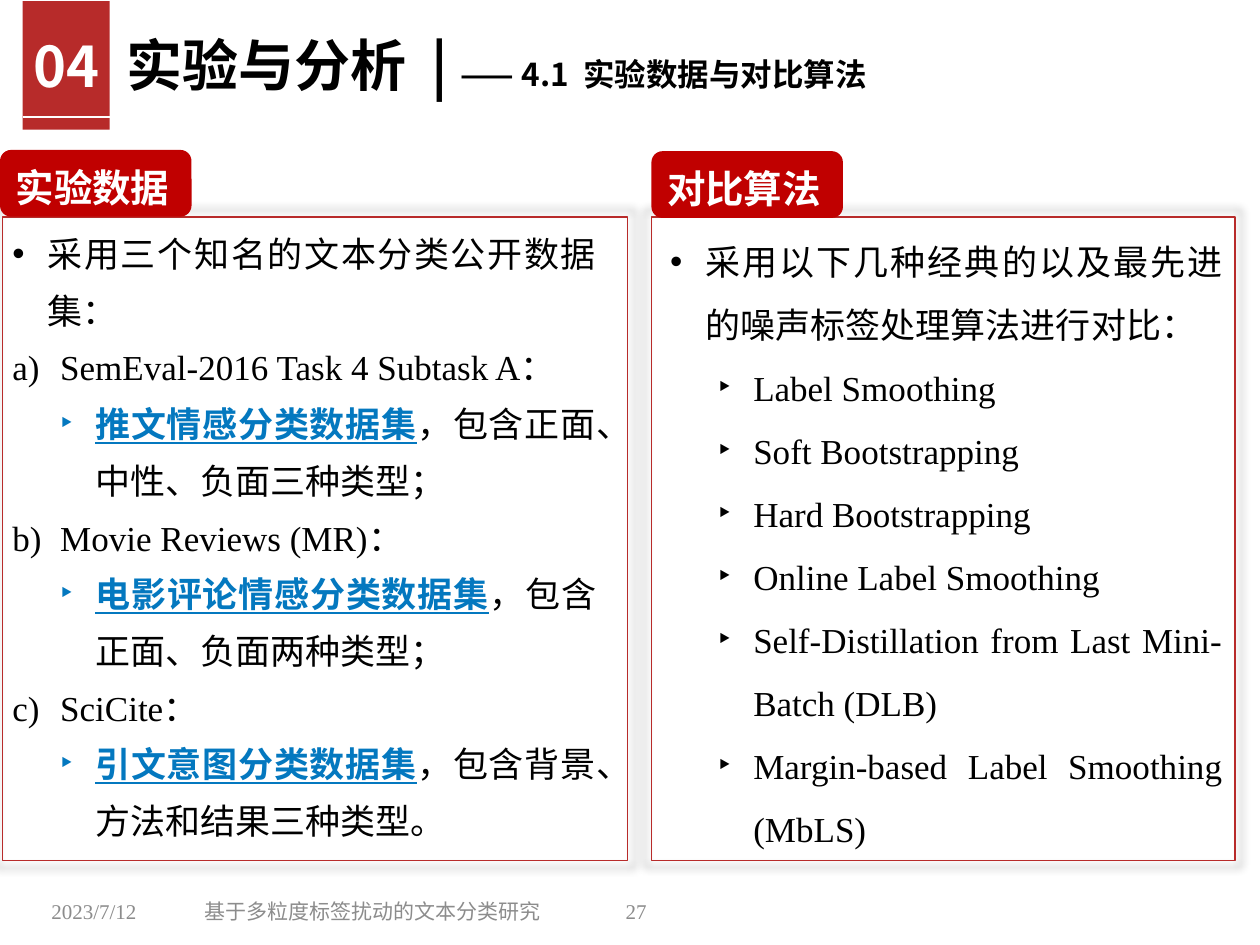
from pptx import Presentation, oxml, util as u
from pptx.dml.color import RGBColor
from pptx.enum import shapes, text
from pptx.oxml.ns import qn

Inches = u.Inches
THEME = {
    "sans": "Noto Sans CJK SC", "serif": "Times New Roman",
    "black": "000000", "white": "FFFFFF", "grey": "8C8C8C", "blue": "0478BF",
    "banner": "B4201F", "frame": "B82B2A", "tab": "C00000",
    "title": 32, "subtitle": 18, "heading": 22, "body": 20, "footer": 12,
}
NS = 'xmlns:a="http://schemas.openxmlformats.org/drawingml/2006/main"'
ALIGN = text.PP_ALIGN


def style(size, color, face="sans", **extra):
    return {"size": u.Pt(THEME[size]), "color": color, "name": THEME[face], **extra}


def add_spans(para, spans, **para_format):
    """Set paragraph attributes, then append (wording, format) spans."""
    for name, value in para_format.items():
        setattr(para, name, value)
    for wording, values in spans:
        span = para.add_run()
        span.text = wording
        for name, value in values.items():
            if name == "color":
                span.font.color.rgb = RGBColor.from_string(THEME[value])
            elif name == "spc":
                span._r.get_or_add_rPr().set("spc", str(value))
            else:
                setattr(span.font, name, value)
        east_asian = oxml.parse_xml(f'<a:ea {NS} typeface="{THEME["sans"]}"/>')
        span._r.rPr.find(qn("a:latin")).addnext(east_asian)


deck = Presentation()
deck.slide_width, deck.slide_height = Inches(10), Inches(7.5)
page = deck.slides.add_slide(deck.slide_layouts[5])

# Banner behind the section number
banner = page.shapes.add_shape(shapes.MSO_SHAPE.RECTANGLE, Inches(0.18), Inches(0.01),
                               Inches(0.69), Inches(1.02))
banner.shadow.inherit = False
banner.fill.solid()
banner.fill.fore_color.rgb = RGBColor.from_string(THEME["banner"])
banner.line.fill.background()
banner_color = banner._element.spPr.find(qn("a:solidFill"))[0]
banner_color.append(oxml.parse_xml(f'<a:alpha {NS} val="95000"/>'))
rule = page.shapes.add_connector(shapes.MSO_CONNECTOR.STRAIGHT, Inches(0.18), Inches(0.93),
                                 Inches(0.87), Inches(0.93))
rule.line.color.rgb = RGBColor.from_string(THEME["white"])
rule.line.width = u.Pt(1.5)
rule._element.spPr.append(oxml.parse_xml(f"<a:effectLst {NS}/>"))

# Title
title = page.shapes.title
title.left, title.top, title.width, title.height = map(Inches, (0.9, 0.19, 9.1, 0.64))
title.text_frame.vertical_anchor = text.MSO_ANCHOR.TOP
title.text_frame.auto_size = text.MSO_AUTO_SIZE.NONE
large = style("title", "black", bold=True)
small = style("subtitle", "black", bold=True)
add_spans(title.text_frame.paragraphs[0], [
    ("实验与分析", large), (" ", {**large, "spc": 700}), ("| ", large),
    ("—— 4.1", small), (" ", {**small, "spc": 400}), ("实验数据与对比算法", small),
], alignment=ALIGN.LEFT)

# Two framed panels with bulleted text
plain = style("body", "black", "serif")
key = style("body", "blue", bold=True, underline=True)
BULLETS = {  # kind: (level, indent, XML)
    "dot": (0, 0.28, ['<a:buFont {} typeface="Arial"/>', '<a:buChar {} char="•"/>']),
    "letter": (0, 0.38, ['<a:buFont {} typeface="+mj-lt"/>',
                         '<a:buAutoNum {} type="alphaLcParenR"/>']),
    "arrow": (1, 0.28, ['<a:buFont {} typeface="Arial"/>', '<a:buChar {} char="‣"/>']),
}
datasets = [("dot", [("采用三个知名的文本分类公开数据集：", plain)])]
for name, kind, detail in [
    ("SemEval-2016 Task 4 Subtask A：", "推文情感分类数据集", "，包含正面、中性、负面三种类型；"),
    ("Movie Reviews (MR)：", "电影评论情感分类数据集", "，包含正面、负面两种类型；"),
    ("SciCite：", "引文意图分类数据集", "，包含背景、方法和结果三种类型。"),
]:
    datasets += [("letter", [(name, plain)]), ("arrow", [(kind, key), (detail, plain)])]
algorithms = [("dot", [("采用以下几种经典的以及最先进的噪声标签处理算法进行对比：", plain)])]
algorithms += [("arrow", [(name, plain)]) for name in (
    "Label Smoothing", "Soft Bootstrapping", "Hard Bootstrapping", "Online Label Smoothing",
    "Self-Distillation from Last Mini-Batch (DLB)", "Margin-based Label Smoothing (MbLS)")]

panels = [  # heading, tab position, text area, frame left and width, spacing, items
    ("实验数据", (0, 1.19), (0, 1.68, 4.83, 5.05), (0.02, 4.96), 1.35, datasets),
    ("对比算法", (5.17, 1.2), (5.22, 1.69, 4.58, 5.09), (5.17, 4.63), 1.5, algorithms),
]
for heading, tab_at, area, (left, width), spacing, items in panels:
    box = page.shapes.add_textbox(*map(Inches, area))
    box.text_frame.word_wrap = True
    for index, (bullet, spans) in enumerate(items):
        frame_text = box.text_frame
        para = frame_text.add_paragraph() if index else frame_text.paragraphs[0]
        level, hanging, marks = BULLETS[bullet]
        add_spans(para, spans, alignment=ALIGN.JUSTIFY, level=level, line_spacing=spacing)
        props = para._p.get_or_add_pPr()
        props.set("marL", str(Inches(hanging + 0.38 * level)))
        props.set("indent", str(-Inches(hanging)))
        for mark in marks:
            props.append(oxml.parse_xml(mark.format(NS)))

    frame = page.shapes.add_shape(shapes.MSO_SHAPE.RECTANGLE, Inches(left), Inches(1.72),
                                  Inches(width), Inches(5.11))
    frame.fill.background()
    frame.line.color.rgb = RGBColor.from_string(THEME["frame"])
    frame.line.width = u.Pt(1)
    frame.shadow.inherit = False
    frame._element.spPr.find(qn("a:effectLst")).append(oxml.parse_xml(
        f'<a:outerShdw {NS} blurRad="{u.Pt(5)}" sx="102000" sy="102000" algn="ctr">'
        f'<a:srgbClr val="{THEME["black"]}"><a:alpha val="40000"/></a:srgbClr></a:outerShdw>'))

    tab = page.shapes.add_shape(shapes.MSO_SHAPE.ROUNDED_RECTANGLE, *map(Inches, tab_at),
                                Inches(1.52), Inches(0.53))
    tab.shadow.inherit = False
    tab.fill.solid()
    tab.fill.fore_color.rgb = RGBColor.from_string(THEME["tab"])
    tab.line.fill.background()
    tab.text_frame.word_wrap = True
    tab.text_frame.vertical_anchor = text.MSO_ANCHOR.TOP
    add_spans(tab.text_frame.paragraphs[0],
              [(heading, style("heading", "white", bold=True))],
              alignment=ALIGN.LEFT, line_spacing=1.1)

# Section number and footer
TOP, MIDDLE = text.MSO_ANCHOR.TOP, text.MSO_ANCHOR.MIDDLE
for wording, area, anchor, alignment, look in [
    ("04", (0.08, 0.2, 0.9, 0.64), TOP, ALIGN.CENTER, style("title", "white", bold=True)),
    ("2023/7/12", (0.31, 7.08, 0.96, 0.3), MIDDLE, ALIGN.LEFT, style("footer", "grey", "serif")),
    ("基于多粒度标签扰动的文本分类研究", (1.42, 7.08, 3.08, 0.3), MIDDLE, ALIGN.CENTER,
     style("footer", "grey")),
    ("27", (4.57, 7.08, 0.66, 0.3), MIDDLE, ALIGN.RIGHT, style("footer", "grey", "serif")),
]:
    box = page.shapes.add_textbox(*map(Inches, area))
    box.text_frame.word_wrap = True
    box.text_frame.vertical_anchor = anchor
    add_spans(box.text_frame.paragraphs[0], [(wording, look)], alignment=alignment)

deck.save("out.pptx")
